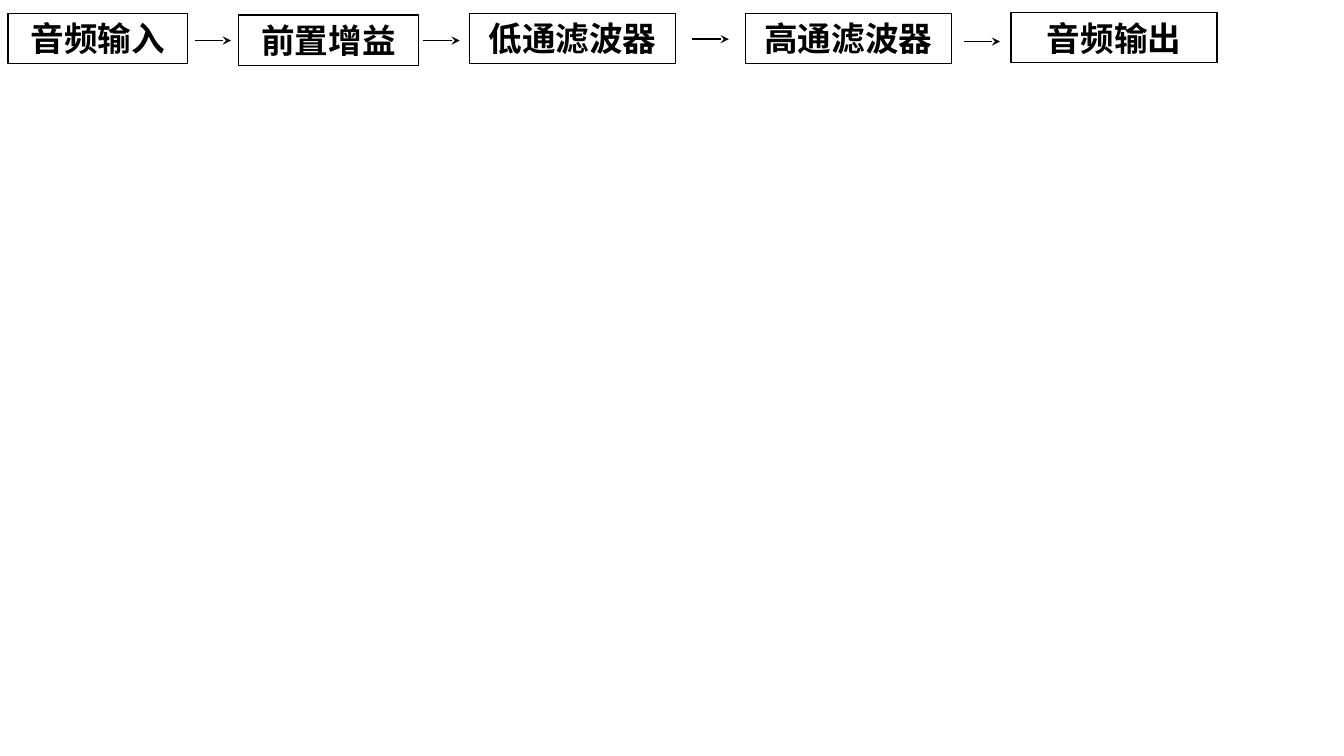
import pptx
import pptx.util
import pptx.dml.color
import pptx.enum.shapes
import pptx.enum.text
import pptx.oxml.ns
from lxml import etree

Pt = pptx.util.Pt
qn = pptx.oxml.ns.qn
COLORS = {"ink": "000000"}
ink = pptx.dml.color.RGBColor.from_string(COLORS["ink"])
FONT = "Noto Sans CJK SC"
LABEL_FORMAT = {"name": FONT, "size": Pt(24), "bold": True}

deck = pptx.Presentation()
deck.slide_width, deck.slide_height = Pt(960), Pt(540)
slide = deck.slides.add_slide(deck.slide_layouts[6])

# Processing stages: label, left, top, width
STAGE_HEIGHT = 36
stages = [
    ("音频输入", 5.6, 9.5, 128.5),
    ("前置增益", 170.4, 10.8, 128.5),
    ("低通滤波器", 335.4, 9.5, 147),
    ("高通滤波器", 532.5, 9.5, 147),
    ("音频输出", 722.3, 8.9, 147),
]
for label, left, top, width in stages:
    stage = slide.shapes.add_shape(
        pptx.enum.shapes.MSO_SHAPE.RECTANGLE,
        Pt(left), Pt(top), Pt(width), Pt(STAGE_HEIGHT))
    stage.shadow.inherit = False
    stage.fill.background()
    stage.line.color.rgb = ink
    stage.line.width = Pt(1)
    frame = stage.text_frame
    frame.word_wrap = True
    frame.vertical_anchor = pptx.enum.text.MSO_ANCHOR.MIDDLE
    paragraph = frame.paragraphs[0]
    paragraph.alignment = pptx.enum.text.PP_ALIGN.CENTER
    run = paragraph.add_run()
    run.text = label
    for attribute, value in LABEL_FORMAT.items():
        setattr(run.font, attribute, value)
    run.font.color.rgb = ink
    # East Asian typeface
    etree.SubElement(run.font._element, qn("a:ea"), typeface=FONT)

# Signal flow between stages: left, height on the slide
ARROW_LENGTH = 26
for left, level in [(139, 29), (302.4, 29), (494.6, 28), (688.3, 29.7)]:
    flow = slide.shapes.add_connector(
        pptx.enum.shapes.MSO_CONNECTOR.STRAIGHT,
        Pt(left), Pt(level), Pt(left + ARROW_LENGTH), Pt(level))
    flow.line.color.rgb = ink
    flow.line.width = Pt(1)
    etree.SubElement(flow.line._get_or_add_ln(), qn("a:tailEnd"), type="stealth")
    etree.SubElement(flow._element.spPr, qn("a:effectLst"))

deck.save("out.pptx")
